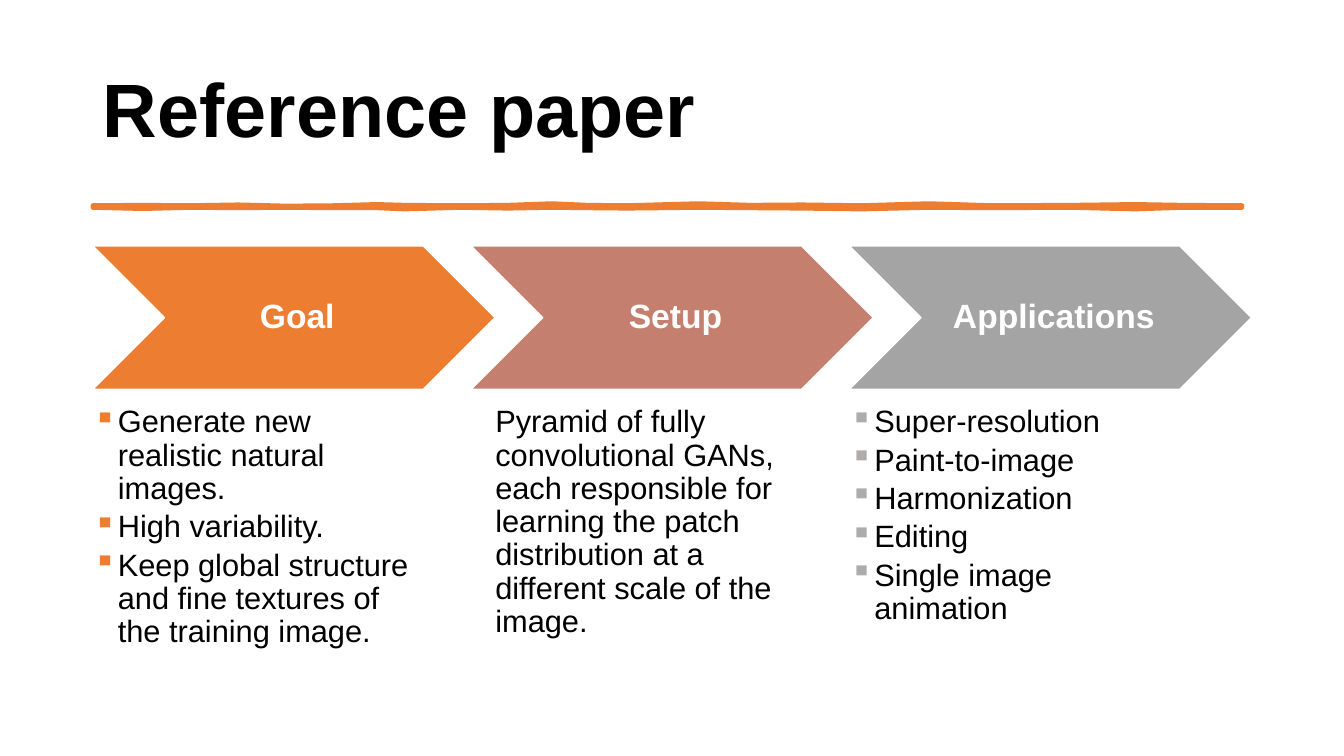
from lxml.etree import SubElement
from pptx import Presentation
from pptx.dml.color import RGBColor
from pptx.enum.shapes import MSO_SHAPE
from pptx.enum.text import MSO_ANCHOR, PP_ALIGN
from pptx.oxml.ns import qn
from pptx.util import Cm, Pt

ORANGE = "ED7D31"
FONT = "Arial"


def color(hex_value):
    return RGBColor.from_string(hex_value)


def format_paragraph(paragraph, size, hex_value, bold=False):
    paragraph.line_spacing = 0.9
    paragraph.font.name = FONT
    paragraph.font.size = Pt(size)
    paragraph.font.bold = bold
    paragraph.font.color.rgb = color(hex_value)


presentation = Presentation()
presentation.slide_width = Cm(33.86)
presentation.slide_height = Cm(19.05)
slide = presentation.slides.add_slide(presentation.slide_layouts[6])

# Title
title = slide.shapes.add_textbox(Cm(2.34), Cm(1.02), Cm(29.21), Cm(3.68))
title.text_frame.word_wrap = True
title.text_frame.vertical_anchor = MSO_ANCHOR.MIDDLE
title.text_frame.text = "Reference paper"
format_paragraph(title.text_frame.paragraphs[0], 54, "000000", bold=True)

# Hand-drawn rule: x, top edge and bottom edge of each point
rule_points = [
    (2.34, 5.18, 5.23), (3.6, 5.17, 5.26), (4.8, 5.18, 5.23),
    (6, 5.16, 5.24), (7.2, 5.19, 5.23), (8.4, 5.18, 5.24),
    (9.5, 5.15, 5.24), (10.2, 5.17, 5.27), (11.6, 5.18, 5.23),
    (12.8, 5.17, 5.25), (13.9, 5.13, 5.23), (14.8, 5.17, 5.24),
    (15.8, 5.18, 5.25), (17.6, 5.13, 5.23), (18.9, 5.17, 5.24),
    (20.2, 5.16, 5.25), (21.7, 5.18, 5.27), (23.4, 5.13, 5.23),
    (25, 5.18, 5.24), (27, 5.17, 5.23), (28.6, 5.15, 5.27),
    (29.8, 5.17, 5.23), (31.29, 5.18, 5.23),
]
top_edge = [(Cm(x), Cm(top)) for x, top, bottom in rule_points]
bottom_edge = [(Cm(x), Cm(bottom)) for x, top, bottom in reversed(rule_points)]
builder = slide.shapes.build_freeform(*top_edge[0])
builder.add_line_segments(top_edge[1:] + bottom_edge, close=True)
rule = builder.convert_to_shape()
rule.shadow.inherit = False
rule.fill.solid()
rule.fill.fore_color.rgb = color(ORANGE)
rule.line.color.rgb = color(ORANGE)
rule.line.width = Pt(3.25)

# Columns: heading, chevron colour, bullet colour, text offset, lines
columns = [
    ("Goal", ORANGE, ORANGE, 0, [
        "Generate new realistic natural images.",
        "High variability.",
        "Keep global structure and fine textures of the training image.",
    ]),
    ("Setup", "C47F6E", None, 0.61, [
        "Pyramid of fully",
        "convolutional GANs,",
        "each responsible for",
        "learning the patch",
        "distribution at a",
        "different scale of the",
        "image.",
    ]),
    ("Applications", "A4A4A4", "AEABAB", 0, [
        "Super-resolution",
        "Paint-to-image",
        "Harmonization",
        "Editing",
        "Single image animation",
    ]),
]

for column, (heading, fill, bullet_color, offset, lines) in enumerate(columns):
    left = 2.34 + column * 9.53
    chevron = slide.shapes.add_shape(
        MSO_SHAPE.CHEVRON, Cm(left), Cm(6.2), Cm(10.13), Cm(3.61))
    chevron.shadow.inherit = False
    chevron.fill.solid()
    chevron.fill.fore_color.rgb = color(fill)
    chevron.line.color.rgb = color("FFFFFF")
    chevron.line.width = Pt(1)
    label = chevron.text_frame
    label.margin_left = Cm(0.25)
    label.margin_top = label.margin_right = label.margin_bottom = Cm(0.08)
    label.vertical_anchor = MSO_ANCHOR.MIDDLE
    label.text = heading
    label.paragraphs[0].alignment = PP_ALIGN.CENTER
    format_paragraph(label.paragraphs[0], 24, "FFFFFF", bold=True)

    details = slide.shapes.add_textbox(
        Cm(left + offset), Cm(10.24), Cm(8.1), Cm(6.91)).text_frame
    details.word_wrap = True
    details.margin_left = details.margin_right = 0
    details.margin_top = details.margin_bottom = 0
    details.text = "\n".join(lines)
    for index, paragraph in enumerate(details.paragraphs):
        if bullet_color:
            properties = paragraph._p.get_or_add_pPr()
            properties.set("marL", str(Cm(0.63)))
            properties.set("indent", str(Cm(-0.61)))
            bullet_fill = SubElement(properties, qn("a:buClr"))
            SubElement(bullet_fill, qn("a:srgbClr"), val=bullet_color)
            SubElement(properties, qn("a:buChar"), char="▪")
            if index:
                paragraph.space_before = Pt(3.6)
        format_paragraph(paragraph, 22, "000000")

presentation.save("out.pptx")
